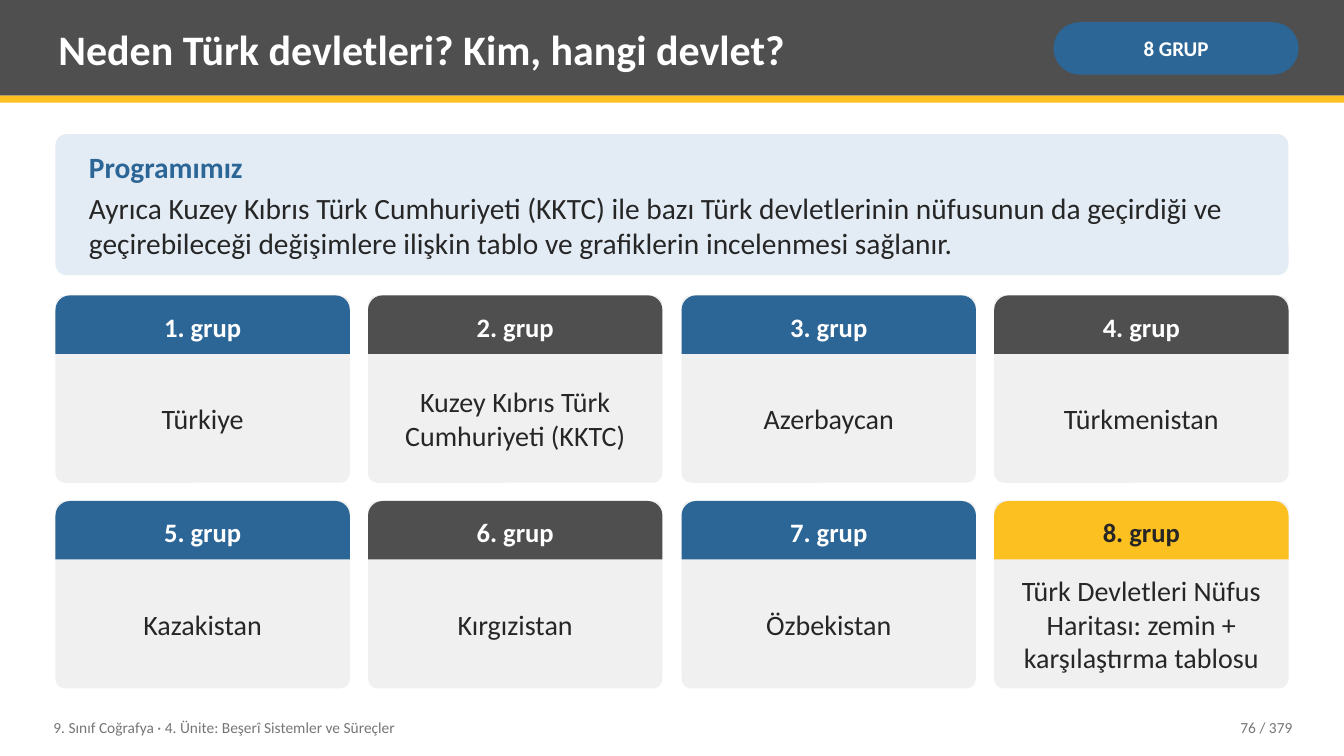
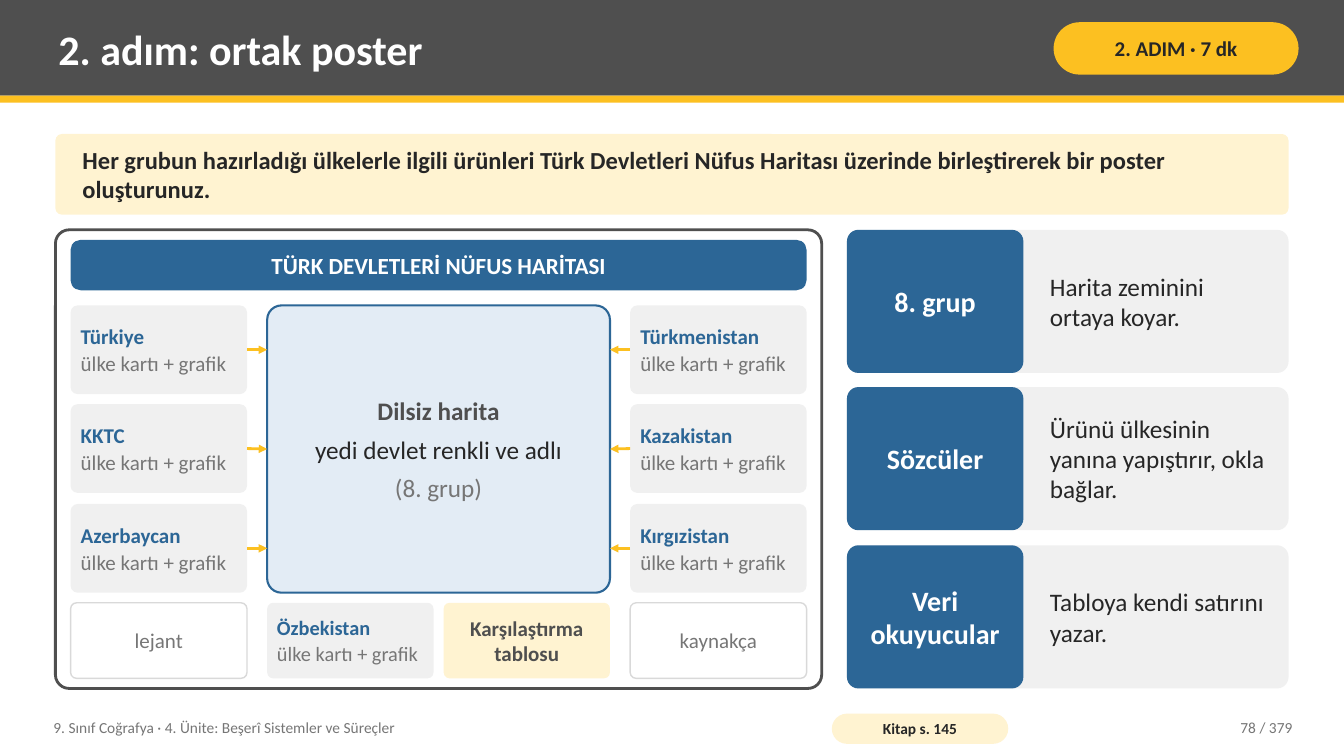
from lxml.etree import SubElement
from pptx import Presentation
from pptx.dml.color import RGBColor
from pptx.enum.shapes import MSO_CONNECTOR, MSO_SHAPE
from pptx.enum.text import MSO_ANCHOR, MSO_AUTO_SIZE, PP_ALIGN
from pptx.oxml.ns import qn
from pptx.util import Pt

PX = 9144
FONT = "Calibri"
WHITE = RGBColor(0xFF, 0xFF, 0xFF)
INK = RGBColor(0x26, 0x26, 0x26)
CHARCOAL = RGBColor(0x4F, 0x4F, 0x4F)
GRAY = RGBColor(0x76, 0x76, 0x76)
RULE_GRAY = RGBColor(0xD9, 0xD9, 0xD9)
PALE_GRAY = RGBColor(0xF0, 0xF0, 0xF0)
BLUE = RGBColor(0x2C, 0x66, 0x96)
PALE_BLUE = RGBColor(0xE3, 0xEC, 0xF5)
YELLOW = RGBColor(0xFC, 0xC0, 0x21)
PALE_YELLOW = RGBColor(0xFF, 0xF3, 0xD1)

LEFT, CONTENT_W = 55, 1223
CARD_NOTE = "ülke kartı + grafik"


def place(slide, x, y, w, h, fill=None, corners=(), outline=None, outline_pt=1,
          preset=MSO_SHAPE.ROUNDED_RECTANGLE):
    bounds = [v * PX for v in (x, y, w, h)]
    if fill is None:
        return slide.shapes.add_textbox(*bounds)
    shape = slide.shapes.add_shape(preset if corners else MSO_SHAPE.RECTANGLE, *bounds)
    for index, corner in enumerate(corners):
        shape.adjustments[index] = corner
    shape.shadow.inherit = False
    shape.fill.solid()
    shape.fill.fore_color.rgb = fill
    if outline is None:
        shape.line.fill.background()
    else:
        shape.line.color.rgb = outline
        shape.line.width = Pt(outline_pt)
    return shape


def write(shape, *lines, align=PP_ALIGN.CENTER, insets=(8, 4, 8, 4), gap=0):
    frame = shape.text_frame
    frame.text = "\n".join(line[0] for line in lines)
    frame.word_wrap = True
    frame.auto_size = MSO_AUTO_SIZE.NONE
    frame.vertical_anchor = MSO_ANCHOR.MIDDLE
    frame.margin_left, frame.margin_top, frame.margin_right, frame.margin_bottom = (
        v * PX for v in insets)
    for paragraph, (_, size, color, bold) in zip(frame.paragraphs, lines):
        paragraph.alignment = align
        if gap and paragraph.text != lines[-1][0]:
            paragraph.space_after = Pt(gap)
        for run in paragraph.runs:
            run.font.name = FONT
            run.font.size = Pt(size)
            run.font.bold = bold
            run.font.color.rgb = color


prs = Presentation()
prs.slide_width, prs.slide_height = 1333 * PX, 750 * PX

slides = []
for heading, badge, badge_fill, badge_ink, page in [
    ("Neden Türk devletleri? Kim, hangi devlet?", "8 GRUP", BLUE, WHITE, "76 / 379"),
    ("2. adım: ortak poster", "2. ADIM · 7 dk", YELLOW, INK, "78 / 379"),
]:
    slide = prs.slides.add_slide(prs.slide_layouts[5])
    place(slide, 0, 0, 1333, 95, CHARCOAL)
    accent = place(slide, 0, 95, 1333, 7, YELLOW)
    title = slide.shapes.title
    accent.element.addnext(title.element)
    title.left, title.top, title.width, title.height = 50 * PX, 7 * PX, 975 * PX, 82 * PX
    write(title, (heading, 30, WHITE, True), align=PP_ALIGN.LEFT)
    write(place(slide, 1045, 22, 243, 52, badge_fill, [0.5]),
          (badge, 15, badge_ink, True), insets=(5, 2, 5, 2))
    write(place(slide, 45, 704, 760, 36),
          ("9. Sınıf Coğrafya · 4. Ünite: Beşerî Sistemler ve Süreçler", 11, GRAY, False),
          align=PP_ALIGN.LEFT)
    write(place(slide, 1130, 704, 160, 36), (page, 11, GRAY, False), align=PP_ALIGN.RIGHT)
    slides.append(slide)

groups_slide, poster_slide = slides

write(place(groups_slide, LEFT, 133, CONTENT_W, 140, PALE_BLUE, [0.08]),
      ("Programımız", 21, BLUE, True),
      ("Ayrıca Kuzey Kıbrıs Türk Cumhuriyeti (KKTC) ile bazı Türk devletlerinin nüfusunun "
       "da geçirdiği ve geçirebileceği değişimlere ilişkin tablo ve grafiklerin incelenmesi "
       "sağlanır.", 21, INK, False),
      align=PP_ALIGN.LEFT, insets=(30, 8, 30, 8), gap=4)

group_w, group_h = 292, 186
group_topics = [
    "Türkiye", "Kuzey Kıbrıs Türk Cumhuriyeti (KKTC)", "Azerbaycan", "Türkmenistan",
    "Kazakistan", "Kırgızistan", "Özbekistan",
    "Türk Devletleri Nüfus Haritası: zemin + karşılaştırma tablosu",
]
for index, topic in enumerate(group_topics):
    row, column = divmod(index, 4)
    x = LEFT + round(column * (CONTENT_W - group_w) / 3)
    y = 293 + row * 204
    header_fill, header_ink = (BLUE, CHARCOAL)[column % 2], WHITE
    if index == len(group_topics) - 1:
        header_fill, header_ink = YELLOW, INK
    write(place(groups_slide, x, y, group_w, group_h, PALE_GRAY, [0.05]),
          (topic, 20, INK, False), insets=(20, 70, 20, 12))
    write(place(groups_slide, x, y, group_w, 58, header_fill, [0.25, 0],
                preset=MSO_SHAPE.ROUND_2_SAME_RECTANGLE),
          (f"{index + 1}. grup", 19, header_ink, True))

write(place(poster_slide, LEFT, 133, CONTENT_W, 80, PALE_YELLOW, [0.08]),
      ("Her grubun hazırladığı ülkelerle ilgili ürünleri Türk Devletleri Nüfus Haritası "
       "üzerinde birleştirerek bir poster oluşturunuz.", 17.5, INK, True),
      align=PP_ALIGN.LEFT, insets=(25, 8, 25, 8))

poster_y, poster_h = 228, 455
place(poster_slide, LEFT, poster_y, 760, poster_h, WHITE, [0.03], CHARCOAL, 2)
write(place(poster_slide, 70, 238, 730, 50, BLUE, [0.2]),
      ("TÜRK DEVLETLERİ NÜFUS HARİTASI", 16.5, WHITE, True), insets=(14, 8, 14, 8))

map_x, map_y, map_w, map_h = 265, 303, 340, 285
blank_map = place(poster_slide, map_x, map_y, map_w, map_h, PALE_BLUE, [0.05], BLUE, 1.5)
write(blank_map,
      ("Dilsiz harita", 18, CHARCOAL, True),
      ("yedi devlet renkli ve adlı", 18, INK, False),
      ("(8. grup)", 18, GRAY, False),
      insets=(14, 8, 14, 8), gap=6)

country_w, country_h = 175, 88
left_x, right_x = 70, 625
for countries, x, card_side, map_edge, map_side in [
    (["Türkiye", "KKTC", "Azerbaycan"], left_x, 3, map_x, 1),
    (["Türkmenistan", "Kazakistan", "Kırgızistan"], right_x, 1, map_x + map_w, 3),
]:
    for row, country in enumerate(countries):
        y = map_y + round(row * (map_h - country_h) / 2)
        country_card = place(poster_slide, x, y, country_w, country_h, PALE_GRAY, [0.08])
        write(country_card, (country, 15, BLUE, True), (CARD_NOTE, 15, GRAY, False),
              align=PP_ALIGN.LEFT, insets=(8, 8, 8, 8), gap=1)
        middle = (y + country_h // 2) * PX
        arrow = poster_slide.shapes.add_connector(
            MSO_CONNECTOR.STRAIGHT, map_edge * PX, middle, map_edge * PX, middle)
        arrow.begin_connect(country_card, card_side)
        if row == 1:
            arrow.end_connect(blank_map, map_side)
        arrow.line.color.rgb = YELLOW
        arrow.line.width = Pt(2)
        properties = arrow.element.spPr
        SubElement(properties.find(qn("a:ln")), qn("a:tailEnd"), type="triangle")
        SubElement(properties, qn("a:effectLst"))

strip_y, strip_h = 598, 75
write(place(poster_slide, map_x, strip_y, 165, strip_h, PALE_GRAY, [0.08]),
      ("Özbekistan", 14.5, BLUE, True), (CARD_NOTE, 14.5, GRAY, False),
      align=PP_ALIGN.LEFT, insets=(8, 8, 8, 8), gap=1)
write(place(poster_slide, 440, strip_y, 165, strip_h, PALE_YELLOW, [0.08]),
      ("Karşılaştırma tablosu", 15, CHARCOAL, True), insets=(8, 8, 8, 8))
for caption, x in [("lejant", left_x), ("kaynakça", right_x)]:
    write(place(poster_slide, x, strip_y, country_w, strip_h, WHITE, [0.08], RULE_GRAY),
          (caption, 15, GRAY, False), insets=(14, 8, 14, 8))

role_h = 142
for row, (role, task) in enumerate([
    ("8. grup", "Harita zeminini ortaya koyar."),
    ("Sözcüler", "Ürünü ülkesinin yanına yapıştırır, okla bağlar."),
    ("Veri okuyucular", "Tabloya kendi satırını yazar."),
]):
    y = poster_y + round(row * (poster_h - role_h) / 2)
    write(place(poster_slide, 840, y, 438, role_h, PALE_GRAY, [0.08]),
          (task, 18, INK, False), align=PP_ALIGN.LEFT, insets=(198, 4, 18, 4))
    write(place(poster_slide, 840, y, 175, role_h, BLUE, [0.08]),
          (role, 20, WHITE, True), insets=(6, 8, 6, 8))

write(place(poster_slide, 825, 708, 175, 30, PALE_YELLOW, [0.5]),
      ("Kitap s. 145", 11, INK, True), insets=(4, 0, 4, 0))

prs.save("out.pptx")
